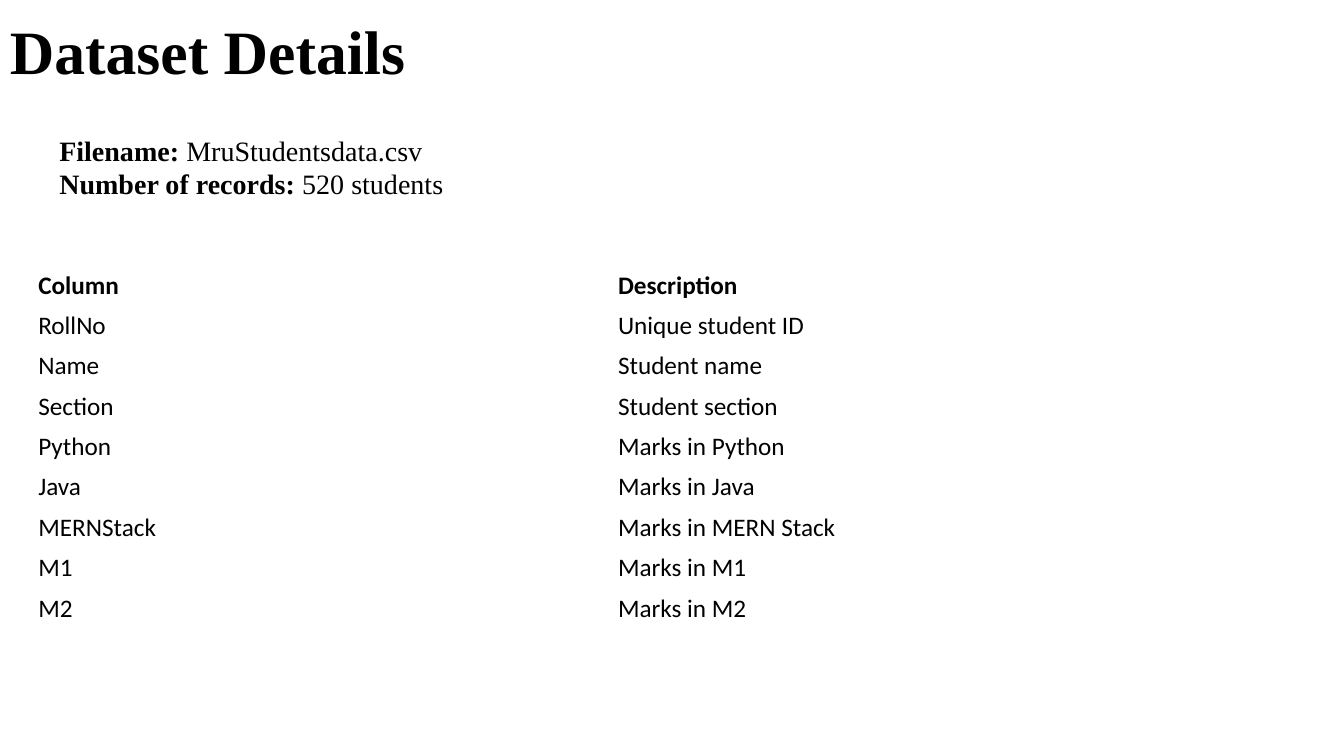
from pptx import Presentation
from pptx.dml.color import RGBColor
from pptx.enum.text import MSO_ANCHOR as Anchor, MSO_AUTO_SIZE as AutoSize
from pptx.util import Inches, Pt

BLACK = RGBColor(0, 0, 0)
SERIF = "Times New Roman"
SANS = "Calibri"

FACTS = [
    ("Filename:", " MruStudentsdata.csv"),
    ("Number of records:", " 520 students"),
]
COLUMNS = [
    ("Column", "Description"),
    ("RollNo", "Unique student ID"),
    ("Name", "Student name"),
    ("Section", "Student section"),
    ("Python", "Marks in Python"),
    ("Java", "Marks in Java"),
    ("MERNStack", "Marks in MERN Stack"),
    ("M1", "Marks in M1"),
    ("M2", "Marks in M2"),
]


def add_span(para, text, font, size, bold=False):
    span = para.add_run()
    span.text = text
    span.font.name = font
    span.font.size = Pt(size)
    span.font.bold = bold
    span.font.color.rgb = BLACK


def add_box(left, top, width, height):
    box = page.shapes.add_textbox(Inches(left), Inches(top), Inches(width), Inches(height))
    box.text_frame.word_wrap = True
    box.text_frame.vertical_anchor = Anchor.MIDDLE
    return box.text_frame


deck = Presentation()
deck.slide_width = Inches(13.33)
deck.slide_height = Inches(7.5)
page = deck.slides.add_slide(deck.slide_layouts[6])

# Title
title = add_box(0, -0.18, 11.5, 1.45)
title.paragraphs[0].line_spacing = 0.9
add_span(title.paragraphs[0], "Dataset Details", SERIF, 44, bold=True)

# Column descriptions
table = page.shapes.add_table(
    len(COLUMNS), 2, Inches(0.28), Inches(2.63), Inches(11.5), Inches(0.4 * len(COLUMNS))
).table
table.first_row = False
table.horz_banding = False
for row, texts in enumerate(COLUMNS):
    for column, text in enumerate(texts):
        cell = table.cell(row, column)
        cell.fill.background()
        cell.vertical_anchor = Anchor.MIDDLE
        add_span(cell.text_frame.paragraphs[0], text, SANS, 18, bold=row == 0)

# File facts
facts = add_box(0.49, 1.27, 7.2, 0.77)
facts.auto_size = AutoSize.SHAPE_TO_FIT_TEXT
for index, (label, value) in enumerate(FACTS):
    para = facts.add_paragraph() if index else facts.paragraphs[0]
    add_span(para, label, SERIF, 20, bold=True)
    add_span(para, value, SERIF, 20)

deck.save("out.pptx")
